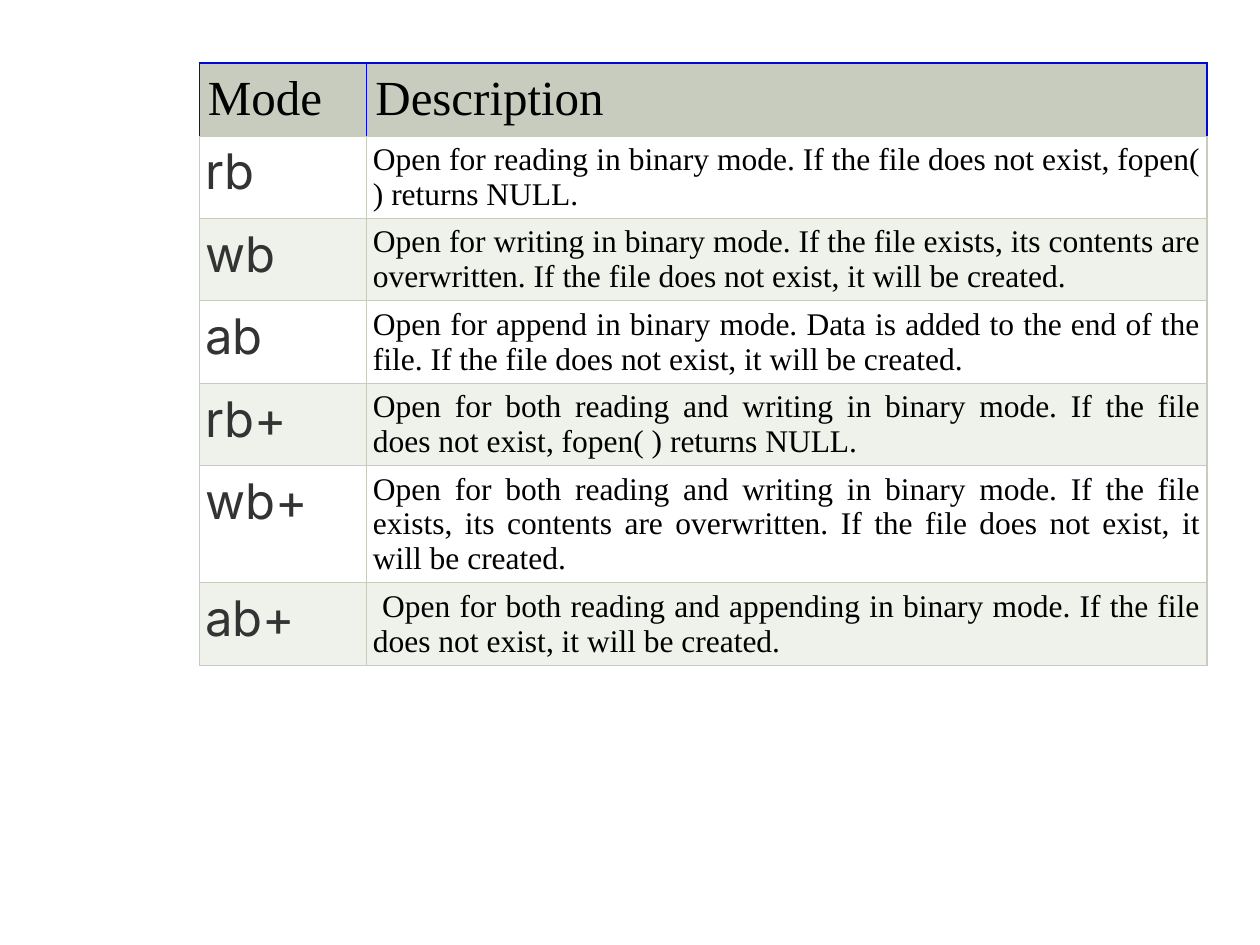
import pptx
import pptx.dml.color
import pptx.enum.text
import pptx.oxml
import pptx.oxml.ns
import pptx.util

Inches = pptx.util.Inches
RGBColor = pptx.dml.color.RGBColor
ALIGN = pptx.enum.text.PP_ALIGN

BLACK = RGBColor(0x00, 0x00, 0x00)
DARK_GRAY = RGBColor(0x33, 0x33, 0x33)
WHITE = RGBColor(0xFF, 0xFF, 0xFF)
PALE = RGBColor(0xEF, 0xF1, 0xEB)
SAGE = RGBColor(0xC7, 0xCC, 0xBE)
BLUE = RGBColor(0x00, 0x08, 0xD6)

HEADER = ("Mode", "Description")
MODES = [
    ("rb", "Open for reading in binary mode. If the file does not exist, fopen( ) returns NULL."),
    ("wb", "Open for writing in binary mode. If the file exists, its contents are overwritten. "
           "If the file does not exist, it will be created."),
    ("ab", "Open for append in binary mode. Data is added to the end of the file. "
           "If the file does not exist, it will be created."),
    ("rb+", "Open for both reading and writing in binary mode. "
            "If the file does not exist, fopen( ) returns NULL."),
    ("wb+", "Open for both reading and writing in binary mode. If the file exists, "
            "its contents are overwritten. If the file does not exist, it will be created."),
    ("ab+", " Open for both reading and appending in binary mode. "
            "If the file does not exist, it will be created."),
]
COLUMN_WIDTHS = (1.33, 6.67)
ROW_HEIGHTS = (0.58, 0.65, 0.65, 0.65, 0.65, 0.93, 0.65)


def add_borders(cell, colors):
    properties = cell._tc.get_or_add_tcPr()
    for side, color in zip("LRTB", colors):
        properties.append(pptx.oxml.parse_xml(
            f'<a:ln{side} {pptx.oxml.ns.nsdecls("a")} w="{pptx.util.Pt(0.75)}">'
            f'<a:solidFill><a:srgbClr val="{color}"/></a:solidFill></a:ln{side}>'))


def write_cell(cell, text, *, font="Times New Roman", size=28, color=BLACK, fill=WHITE,
               align=ALIGN.JUSTIFY, inset=0.05, borders=(SAGE,) * 4):
    add_borders(cell, borders)
    cell.fill.solid()
    cell.fill.fore_color.rgb = fill
    cell.margin_left = cell.margin_right = Inches(inset)
    cell.margin_top = cell.margin_bottom = Inches(inset)
    para = cell.text_frame.paragraphs[0]
    para.alignment = align
    span = para.add_run()
    span.text = text
    span.font.name = font
    span.font.size = pptx.util.Pt(size)
    span.font.bold = False
    span.font.color.rgb = color


deck = pptx.Presentation()
deck.slide_width, deck.slide_height = Inches(10), Inches(7.5)
page = deck.slides.add_slide(deck.slide_layouts[6])
table = page.shapes.add_table(
    len(ROW_HEIGHTS), len(COLUMN_WIDTHS), Inches(1.58), Inches(0.5),
    Inches(sum(COLUMN_WIDTHS)), Inches(sum(ROW_HEIGHTS))).table
for column, width in zip(table.columns, COLUMN_WIDTHS):
    column.width = Inches(width)
for row, height in zip(table.rows, ROW_HEIGHTS):
    row.height = Inches(height)

for index, title in enumerate(HEADER):
    write_cell(table.cell(0, index), title, fill=SAGE, align=ALIGN.LEFT, inset=0.07,
               borders=(BLUE, BLUE, BLUE, SAGE))
for index, (mode, description) in enumerate(MODES, start=1):
    fill = WHITE if index % 2 else PALE
    write_cell(table.cell(index, 0), mode, font="Inter", color=DARK_GRAY, fill=fill)
    write_cell(table.cell(index, 1), description, size=18, fill=fill)

deck.save("out.pptx")
